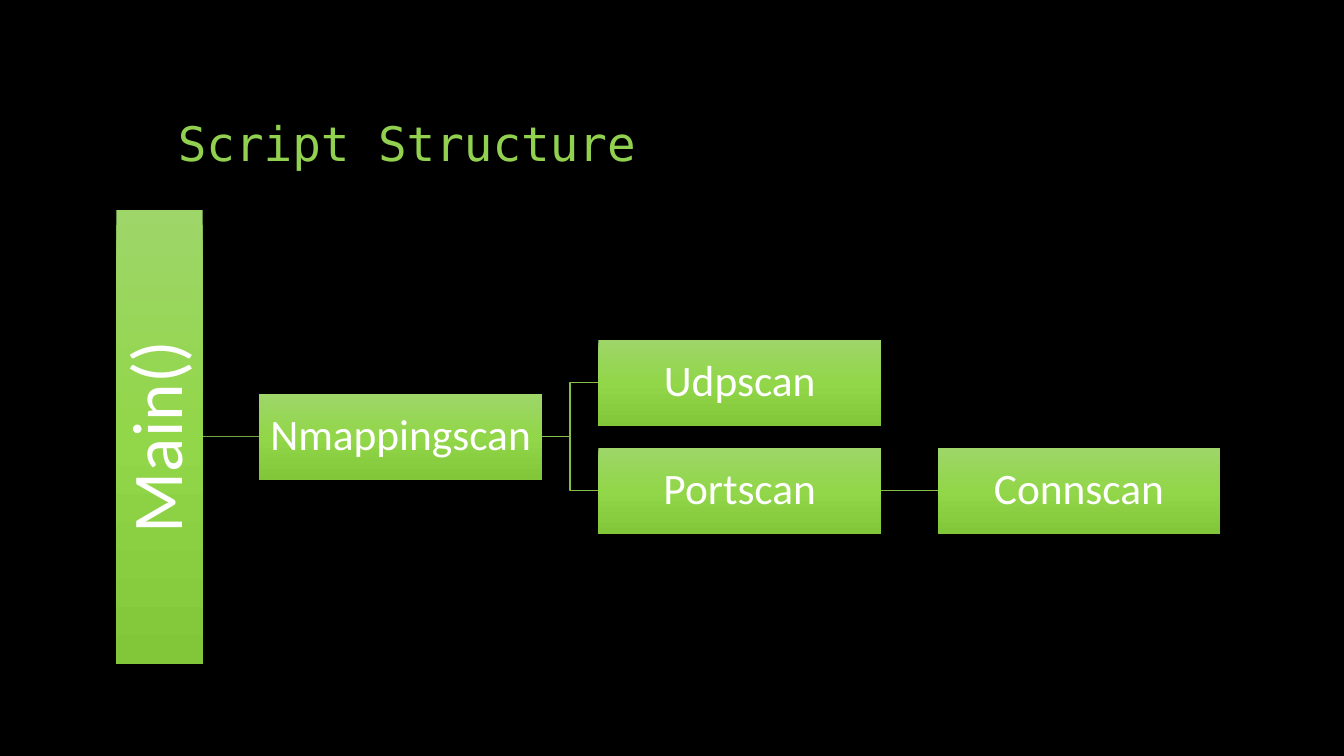
from dataclasses import dataclass

from lxml import etree
from pptx import Presentation
from pptx.dml.color import RGBColor
from pptx.enum import shapes, text
from pptx.oxml import ns
from pptx.util import Pt


@dataclass(frozen=True)
class Theme:
    background: str = "000000"
    title: str = "92D050"
    label: str = "FFFFFF"
    gradient: tuple = ((0, "9ED669"), (50, "92D64A"), (100, "82C63A"))
    root_line: str = "75A740"
    branch_line: str = "85BD49"
    title_font: str = "DejaVu Sans Mono"
    label_font: str = "Calibri"
    title_size: int = 34
    root_size: int = 51
    label_size: int = 31


THEME = Theme()
BOX_WIDTH, BOX_HEIGHT = 201.9, 61.5
GAP = 40.4
ROOT_LEFT, ROOT_LENGTH = 83.2, 324
TREE_MIDDLE, ROW_PITCH = 312, 77

# Function name: (column, row offset from the middle of the tree)
FUNCTIONS = {
    "Nmappingscan": (0, 0),
    "Udpscan": (1, -0.5),
    "Portscan": (1, 0.5),
    "Connscan": (2, 0.5),
}
CALLS = [
    ("Portscan", "Connscan"),
    ("Nmappingscan", "Portscan"),
    ("Nmappingscan", "Udpscan"),
]


def set_all(target, values):
    for name, value in values.items():
        setattr(target, name, value)


def box_position(name):
    """Return the left edge and vertical middle of a function's box."""
    column, row = FUNCTIONS[name]
    left = ROOT_LEFT + BOX_HEIGHT + GAP + column * (BOX_WIDTH + GAP)
    return left, TREE_MIDDLE + row * ROW_PITCH


def write_text(shape, wording, font, size, color, align, anchor, insets):
    frame = shape.text_frame
    set_all(frame, {"word_wrap": True, "vertical_anchor": anchor})
    horizontal, vertical = insets
    set_all(frame, {
        "margin_left": Pt(horizontal), "margin_right": Pt(horizontal),
        "margin_top": Pt(vertical), "margin_bottom": Pt(vertical),
    })
    paragraph = frame.paragraphs[0]
    set_all(paragraph, {"alignment": align, "line_spacing": 0.9})
    run = paragraph.add_run()
    run.text = wording
    set_all(run.font, {"name": font, "size": Pt(size)})
    run.font.color.rgb = RGBColor.from_string(color)


def fill_gradient(shape):
    """Fill from top to bottom of the slide, whatever the shape's rotation."""
    gradient = etree.Element(ns.qn("a:gradFill"), rotWithShape="0")
    stops = etree.SubElement(gradient, ns.qn("a:gsLst"))
    for percent, color in THEME.gradient:
        stop = etree.SubElement(stops, ns.qn("a:gs"), pos=str(percent * 1000))
        etree.SubElement(stop, ns.qn("a:srgbClr"), val=color)
    etree.SubElement(gradient, ns.qn("a:lin"), ang="5400000", scaled="0")
    shape.element.spPr.find(ns.qn("a:prstGeom")).addnext(gradient)


def add_title(slide, wording):
    title = slide.shapes.add_textbox(Pt(120), Pt(36), Pt(720), Pt(90))
    write_text(title, wording, THEME.title_font, THEME.title_size, THEME.title,
               text.PP_ALIGN.LEFT, text.MSO_ANCHOR.BOTTOM, (7.2, 3.6))


def add_box(slide, wording, left, middle, width, size, inset, rotation=0):
    box = slide.shapes.add_shape(
        shapes.MSO_SHAPE.RECTANGLE, Pt(left), Pt(middle - BOX_HEIGHT / 2),
        Pt(width), Pt(BOX_HEIGHT))
    box.rotation = rotation
    box.shadow.inherit = False
    box.line.fill.background()
    fill_gradient(box)
    write_text(box, wording, THEME.label_font, size, THEME.label,
               text.PP_ALIGN.CENTER, text.MSO_ANCHOR.MIDDLE, (inset, inset))


def add_link(slide, start, end, color):
    level = start[1] == end[1]
    kind = shapes.MSO_CONNECTOR.STRAIGHT if level else shapes.MSO_CONNECTOR.ELBOW
    link = slide.shapes.add_connector(kind, *(Pt(value) for value in start + end))
    link.line.width = Pt(1)
    link.line.color.rgb = RGBColor.from_string(color)
    etree.SubElement(link.element.spPr, ns.qn("a:effectLst"))


def main():
    presentation = Presentation()
    set_all(presentation, {"slide_width": Pt(960), "slide_height": Pt(540)})
    slide = presentation.slides.add_slide(presentation.slide_layouts[6])
    background = slide.background.fill
    background.solid()
    background.fore_color.rgb = RGBColor.from_string(THEME.background)

    add_title(slide, "Script Structure")
    for caller, callee in CALLS:
        left, middle = box_position(caller)
        add_link(slide, (left + BOX_WIDTH, middle), box_position(callee),
                 THEME.branch_line)
    add_link(slide, (ROOT_LEFT + BOX_HEIGHT, TREE_MIDDLE),
             box_position("Nmappingscan"), THEME.root_line)

    root_center = ROOT_LEFT + BOX_HEIGHT / 2
    add_box(slide, "Main()", root_center - ROOT_LENGTH / 2, TREE_MIDDLE,
            ROOT_LENGTH, THEME.root_size, 2.9, rotation=270)
    for name in FUNCTIONS:
        add_box(slide, name, *box_position(name), BOX_WIDTH, THEME.label_size, 1.4)
    presentation.save("out.pptx")


if __name__ == "__main__":
    main()
